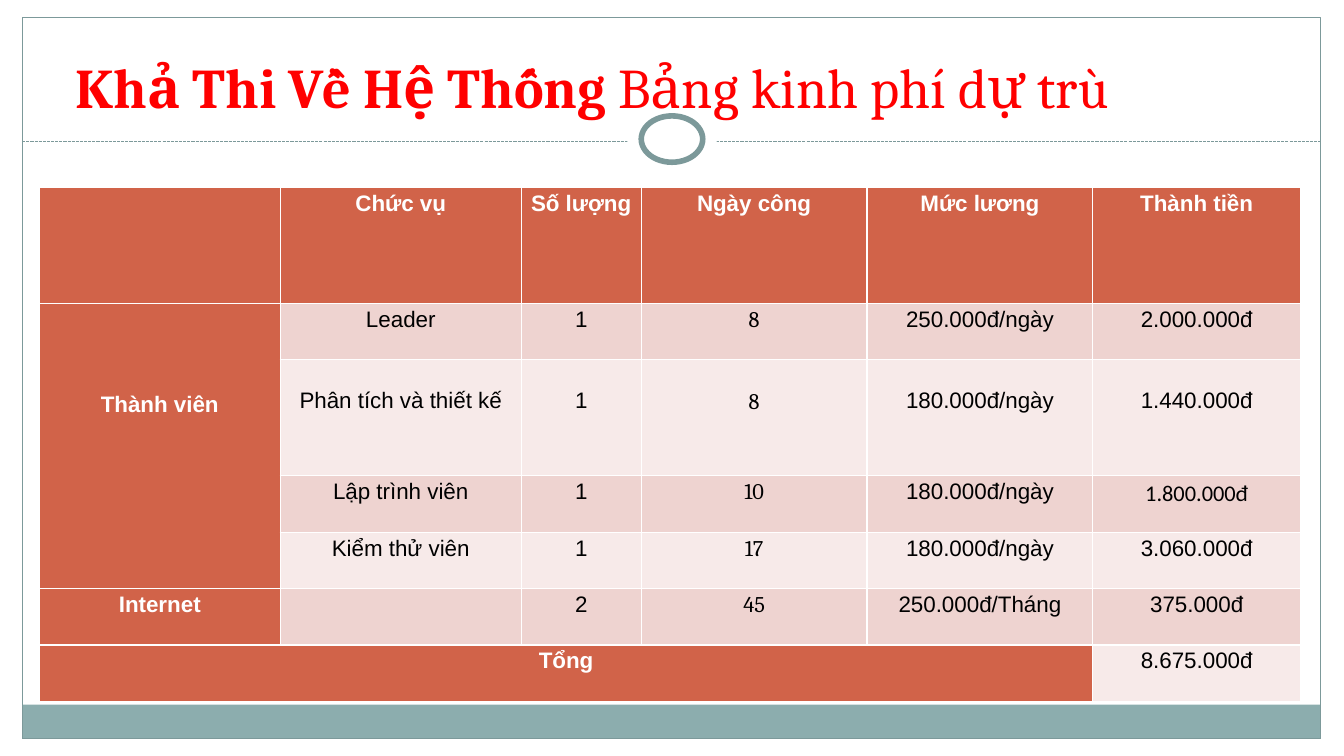
from lxml import etree
from pptx import Presentation
from pptx.dml.color import RGBColor
from pptx.enum.dml import MSO_LINE
from pptx.enum.shapes import MSO_CONNECTOR, MSO_SHAPE
from pptx.enum.text import MSO_ANCHOR, PP_ALIGN
from pptx.oxml.ns import qn
from pptx.util import Inches, Pt

RECTANGLE = MSO_SHAPE.RECTANGLE
OVAL = MSO_SHAPE.OVAL
STRAIGHT = MSO_CONNECTOR.STRAIGHT
SHORT_DASH = MSO_LINE.SQUARE_DOT
TOP = MSO_ANCHOR.TOP
LEFT = PP_ALIGN.LEFT
CENTER = PP_ALIGN.CENTER

WHITE, BLACK, RED = "FFFFFF", "000000", "FF0000"
TEAL, PALE_TEAL = "7C999A", "8CADAE"
ORANGE, DARK_BAND, LIGHT_BAND = "D16349", "EED3D0", "F7EAE9"

COLUMN_WIDTHS = [2.39, 2.39, 1.19, 2.24, 2.24, 2.06]
ROW_HEIGHTS = [1.15, 0.56, 1.15, 0.56, 0.56, 0.56, 0.56]
BUDGET = [
    ["", "Chức vụ", "Số lượng", "Ngày công", "Mức lương", "Thành tiền"],
    ["Thành viên", "Leader", "1", "8", "250.000đ/ngày", "2.000.000đ"],
    ["", "Phân tích và thiết kế", "1", "8", "180.000đ/ngày", "1.440.000đ"],
    ["", "Lập trình viên", "1", "10", "180.000đ/ngày", "1.800.000đ"],
    ["", "Kiểm thử viên", "1", "17", "180.000đ/ngày", "3.060.000đ"],
    ["Internet", "", "2", "45", "250.000đ/Tháng", "375.000đ"],
    ["Tổng", "", "", "", "", "8.675.000đ"],
]
DAYS_COLUMN = 3
DESIGN_ROW = 2
FONT_EXCEPTIONS = {(3, 5): "Calibri"}
TOP_MARGINS = {(1, 0): 0.85} | {(DESIGN_ROW, column): 0.25 for column in range(1, 6)}


def color(value):
    return RGBColor.from_string(value)


def add_text(para, text, font="Arial", size=16, fill=BLACK, bold=False,
             align=CENTER, spacing=1.0):
    para.alignment = align
    para.line_spacing = spacing
    span = para.add_run()
    span.text = text
    span.font.name = font
    span.font.size = Pt(size)
    span.font.bold = bold
    span.font.color.rgb = color(fill)


def add_figure(page, kind, left, top, width, height, fill=None, line=None, weight=0.75):
    figure = page.shapes.add_shape(
        kind, Inches(left), Inches(top), Inches(width), Inches(height))
    figure.shadow.inherit = False
    if fill:
        figure.fill.solid()
        figure.fill.fore_color.rgb = color(fill)
    else:
        figure.fill.background()
    if line:
        figure.line.color.rgb = color(line)
        figure.line.width = Pt(weight)
    else:
        figure.line.fill.background()


def add_dashed_line(page, left, right, top):
    rule = page.shapes.add_connector(
        STRAIGHT, Inches(left), Inches(top), Inches(right), Inches(top))
    rule.line.color.rgb = color(TEAL)
    rule.line.width = Pt(0.75)
    rule.line.dash_style = SHORT_DASH
    etree.SubElement(rule._element.spPr, qn("a:effectLst"))


def add_title(page):
    box = page.shapes.add_textbox(Inches(0.62), Inches(0.39), Inches(11.61), Inches(0.83))
    frame = box.text_frame
    frame.word_wrap = True
    frame.vertical_anchor = TOP
    frame.margin_left = frame.margin_right = Inches(0.13)
    frame.margin_top = frame.margin_bottom = Inches(0.13)
    para = frame.paragraphs[0]
    for text, bold in (("Khả Thi Về Hệ Thống ", True), ("Bảng kinh phí dự trù", False)):
        add_text(para, text, font="Cambria", size=40, fill=RED, bold=bold, align=LEFT)


def fill_cell(cell, text, row, column):
    heading = row == 0 or column == 0
    band = DARK_BAND if row % 2 else LIGHT_BAND
    cell.fill.solid()
    cell.fill.fore_color.rgb = color(ORANGE if heading else band)
    cell.margin_left = cell.margin_right = Inches(0.07)
    cell.margin_top = Inches(TOP_MARGINS.get((row, column), 0))
    cell.margin_bottom = 0
    if text:
        usual_font = "Cambria" if column == DAYS_COLUMN and not heading else "Arial"
        add_text(cell.text_frame.paragraphs[0], text,
                 font=FONT_EXCEPTIONS.get((row, column), usual_font),
                 fill=WHITE if heading else BLACK, bold=heading, spacing=1.15)


def add_budget_table(page):
    table = page.shapes.add_table(
        len(ROW_HEIGHTS), len(COLUMN_WIDTHS), Inches(0.39), Inches(1.86),
        Inches(sum(COLUMN_WIDTHS)), Inches(sum(ROW_HEIGHTS))).table
    for column, width in zip(table.columns, COLUMN_WIDTHS):
        column.width = Inches(width)
    for row, height in zip(table.rows, ROW_HEIGHTS):
        row.height = Inches(height)
    table.cell(1, 0).merge(table.cell(4, 0))
    table.cell(6, 0).merge(table.cell(6, 4))
    for row, texts in enumerate(BUDGET):
        for column, text in enumerate(texts):
            cell = table.cell(row, column)
            if not cell.is_spanned:
                fill_cell(cell, text, row, column)


def main():
    deck = Presentation()
    deck.slide_width = Inches(13.33)
    deck.slide_height = Inches(7.5)
    page = deck.slides.add_slide(deck.slide_layouts[6])
    add_figure(page, RECTANGLE, 0.22, 6.99, 12.88, 0.34, fill=PALE_TEAL)
    add_figure(page, RECTANGLE, 0.22, 0.17, 12.88, 7.16, line=TEAL)
    add_dashed_line(page, 0.22, 13.1, 1.4)
    add_figure(page, OVAL, 6.22, 1.05, 0.89, 0.67, fill=WHITE)
    add_figure(page, OVAL, 6.36, 1.15, 0.61, 0.46, fill=WHITE, line=TEAL, weight=4)
    add_title(page)
    add_budget_table(page)
    deck.save("out.pptx")


if __name__ == "__main__":
    main()
